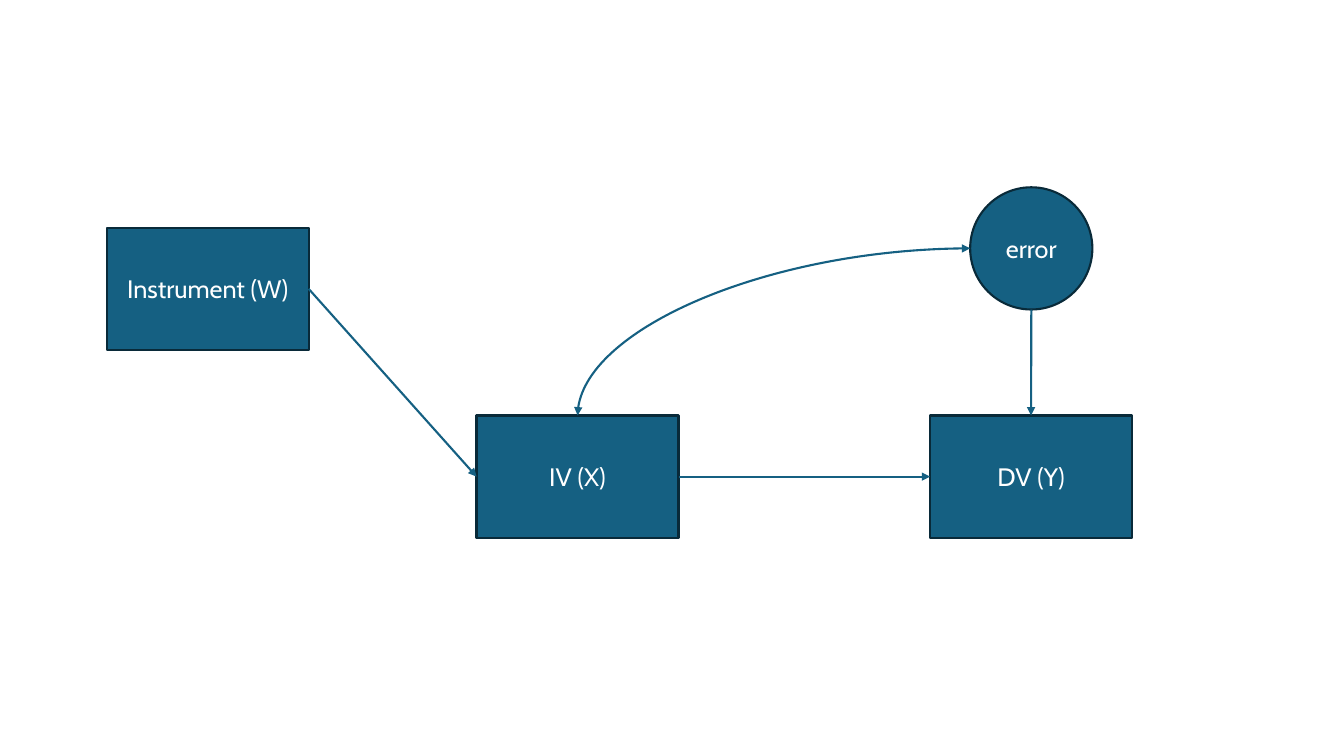
from pptx import Presentation
from pptx.dml.color import RGBColor
from pptx.enum.shapes import MSO_CONNECTOR as Link, MSO_SHAPE as Form
from pptx.enum.text import MSO_ANCHOR, PP_ALIGN
from pptx.oxml.ns import qn
from pptx.oxml.xmlchemy import OxmlElement
from pptx.util import Cm, Pt

TEAL = RGBColor(0x15, 0x60, 0x82)
NAVY = RGBColor(0x09, 0x2A, 0x39)
WHITE = RGBColor(0xFF, 0xFF, 0xFF)

TOP, LEFT, BOTTOM, RIGHT = range(4)
NODE_WIDTH, NODE_HEIGHT = 5.09, 3.08


class PathDiagram:
    font = "Cabin"
    text_size = Pt(18)
    line_width = Pt(1.5)

    def __init__(self, slide):
        self.shapes = slide.shapes

    def node(self, label, left, top, width=NODE_WIDTH, form=Form.RECTANGLE):
        node = self.shapes.add_shape(form, Cm(left), Cm(top), Cm(width), Cm(NODE_HEIGHT))
        node.shadow.inherit = False
        node.fill.solid()
        node.fill.fore_color.rgb = TEAL
        node.line.color.rgb = NAVY
        node.line.width = self.line_width
        node.text_frame.text = label
        node.text_frame.vertical_anchor = MSO_ANCHOR.MIDDLE
        paragraph = node.text_frame.paragraphs[0]
        paragraph.alignment = PP_ALIGN.CENTER
        font = paragraph.runs[0].font
        font.name, font.size, font.color.rgb = self.font, self.text_size, WHITE
        return node

    def arrow(self, source, source_side, target, target_side,
              link=Link.STRAIGHT, ends=("tailEnd",)):
        arrow = self.shapes.add_connector(link, 0, 0, 0, 0)
        arrow.begin_connect(source, source_side)
        arrow.end_connect(target, target_side)
        for node, side, tag in ((source, source_side, "a:stCxn"), (target, target_side, "a:endCxn")):
            if node.auto_shape_type == Form.OVAL:
                # An ellipse has eight connection sites, two per side
                for site in arrow._element.iter(qn(tag)):
                    site.set("idx", str(2 * side))
        arrow.line.color.rgb = TEAL
        arrow.line.width = self.line_width
        for end in ends:
            head = OxmlElement(f"a:{end}")
            head.set("type", "triangle")
            arrow.line._get_or_add_ln().append(head)
        arrow._element.spPr.append(OxmlElement("a:effectLst"))
        return arrow

    def quarter_arc(self, source, target):
        """Double-headed curve that leaves source upwards and enters target from the left."""
        arc = self.arrow(source, TOP, target, LEFT, Link.CURVE, ("headEnd", "tailEnd"))
        width, height = arc.width, arc.height
        # The quarter turn swaps the sides of the box around its centre
        arc.left += (width - height) // 2
        arc.top += (height - width) // 2
        arc.width, arc.height = height, width
        properties = arc._element.spPr
        frame = properties.find(qn("a:xfrm"))
        for name, value in (("rot", "5400000"), ("flipH", "1"), ("flipV", "1")):
            frame.set(name, value)
        properties.find(qn("a:prstGeom")).set("prst", "curvedConnector2")


def main():
    deck = Presentation()
    deck.slide_width, deck.slide_height = Cm(33.87), Cm(19.05)
    diagram = PathDiagram(deck.slides.add_slide(deck.slide_layouts[6]))

    predictor = diagram.node("IV (X)", 12.01, 10.47)
    outcome = diagram.node("DV (Y)", 23.44, 10.47)
    error = diagram.node("error", 24.45, 4.72, NODE_HEIGHT, Form.OVAL)
    instrument = diagram.node("Instrument (W)", 2.69, 5.74)

    diagram.arrow(predictor, RIGHT, outcome, LEFT)
    diagram.arrow(instrument, RIGHT, predictor, LEFT)
    diagram.arrow(error, BOTTOM, outcome, TOP)
    diagram.quarter_arc(predictor, error)

    deck.save("out.pptx")


if __name__ == "__main__":
    main()
